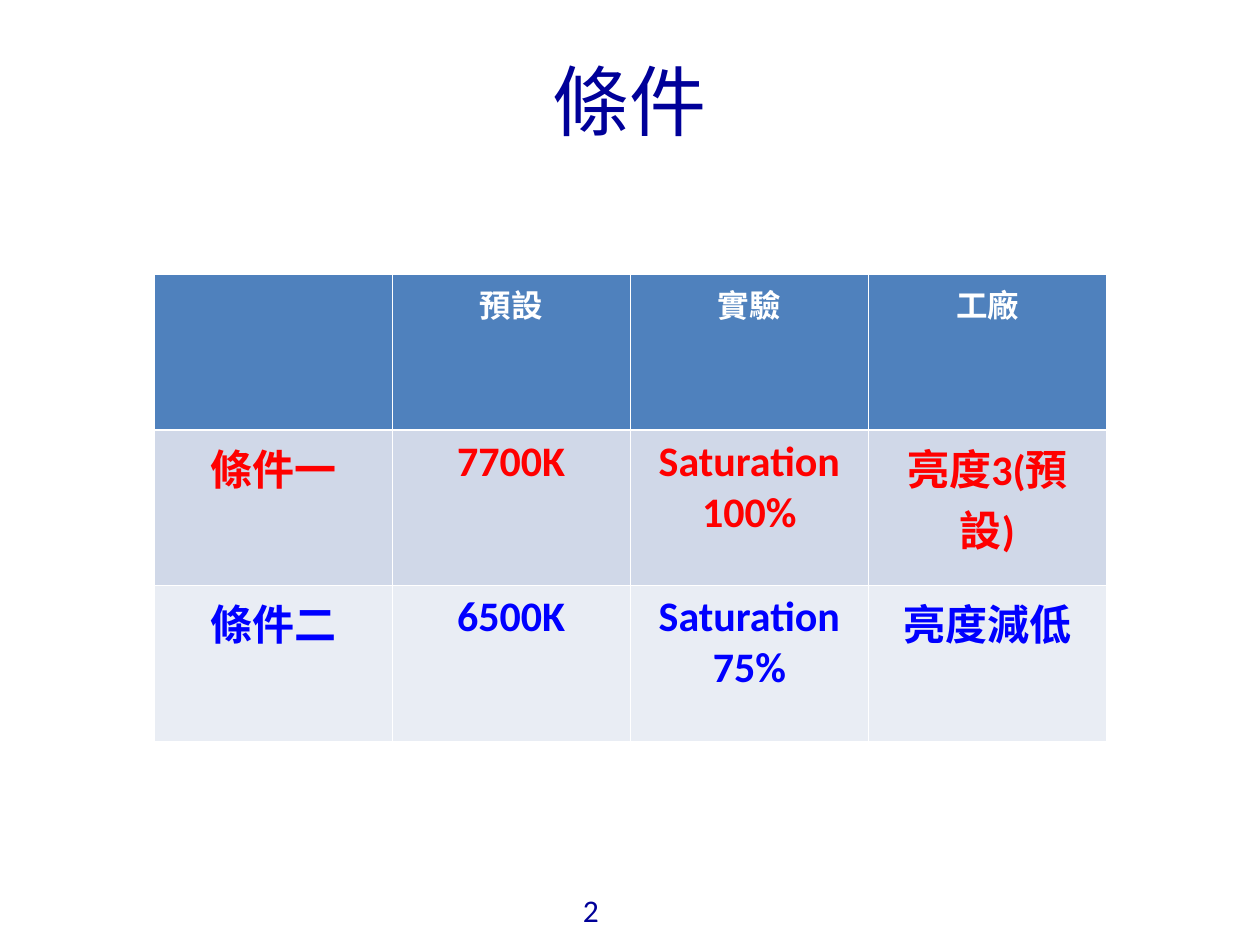
from lxml.etree import SubElement as Sub
from pptx import Presentation
from pptx.dml.color import RGBColor as RGB
from pptx.enum.text import MSO_ANCHOR as Anchor, PP_ALIGN as Align
from pptx.oxml.ns import qn
from pptx.util import Pt

NAVY = RGB(0, 0, 0x99)
WHITE = RGB(0xFF, 0xFF, 0xFF)
RED = RGB(0xFF, 0, 0)
BLUE = RGB(0, 0, 0xFF)
STEEL = RGB(0x4F, 0x81, 0xBD)
MIST = RGB(0xD0, 0xD8, 0xE8)
PALE = RGB(0xE9, 0xED, 0xF4)

LATIN = "Calibri"
HAN = "Noto Sans CJK SC"
THIN, THICK = 0.45, 1.47

ROWS = [
    (["", "預設", "實驗", "工廠"], STEEL, WHITE, 18),
    (["條件一", "7700K", "Saturation 100%", "亮度3(預設)"], MIST, RED, 24),
    (["條件二", "6500K", "Saturation 75%", "亮度減低"], PALE, BLUE, 24),
]


def write(frame, text, color, align=Align.CENTER, **form):
    par = frame.paragraphs[0]
    par.alignment = align
    if not text:
        return
    run = par.add_run()
    run.text = text
    run.font.color.rgb = color
    for key, val in form.items():
        setattr(run.font, key, val)
    Sub(run.font._element, qn("a:ea"), typeface=HAN)


def add_text(slide, area, text, anchor, **form):
    frame = slide.shapes.add_textbox(*map(Pt, area)).text_frame
    frame.word_wrap = True
    frame.vertical_anchor = anchor
    write(frame, text, NAVY, **form)


def edge(cell, side, width):
    line = Sub(cell._tc.get_or_add_tcPr(), qn("a:ln" + side), w=str(Pt(width)))
    fill = Sub(line, qn("a:solidFill"))
    Sub(fill, qn("a:srgbClr"), val=str(WHITE))


def add_grid(slide, area):
    shape = slide.shapes.add_table(len(ROWS), len(ROWS[0][0]), *map(Pt, area))
    grid = shape.table
    for r, (texts, back, color, size) in enumerate(ROWS):
        top = THICK if r == 1 else THIN
        base = THICK if r == 0 else THIN
        for c, text in enumerate(texts):
            cell = grid.cell(r, c)
            for side, width in zip("LRTB", (THIN, THIN, top, base)):
                edge(cell, side, width)
            cell.fill.solid()
            cell.fill.fore_color.rgb = back
            write(cell.text_frame, text, color,
                  name=LATIN, size=Pt(size), bold=True)


def main():
    deck = Presentation()
    deck.slide_width, deck.slide_height = Pt(720), Pt(540)
    slide = deck.slides.add_slide(deck.slide_layouts[6])
    add_text(slide, (326, 505.5, 39.6, 29.5), "2", Anchor.TOP,
             align=Align.LEFT, name=LATIN, size=Pt(18))
    add_text(slide, (36, 18, 648, 78), "條件", Anchor.MIDDLE,
             name=HAN, size=Pt(44))
    add_grid(slide, (88, 157, 544.4, 266.4))
    deck.save("out.pptx")


if __name__ == "__main__":
    main()
